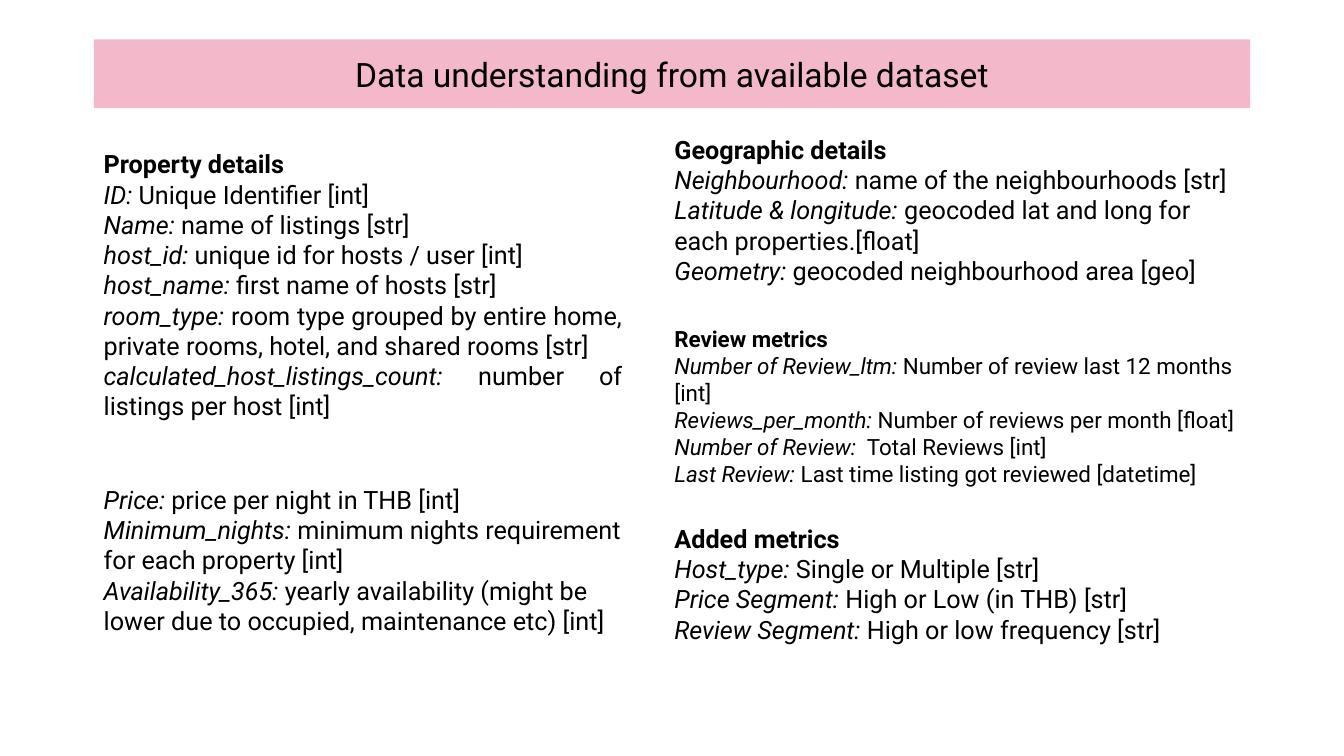
from lxml.etree import SubElement
from pptx import Presentation
from pptx.dml.color import RGBColor
from pptx.enum.shapes import MSO_SHAPE as Shape
from pptx.enum.text import MSO_ANCHOR as Anchor, PP_ALIGN as Align
from pptx.oxml.ns import qn
from pptx.util import Inches, Pt

SLIDE_WIDTH, SLIDE_HEIGHT = Inches(13.33), Inches(7.5)
PINK = RGBColor(0xDB, 0x25, 0x5D)
WHITE = RGBColor(0xFF, 0xFF, 0xFF)
BLACK = RGBColor(0x00, 0x00, 0x00)
FONT = "Roboto"

LEFT_COLUMN = (6.98, 40.06)
RIGHT_COLUMN = (49.44, 43.58)
FULL_WIDTH = (6.98, 86.04)

PROPERTY = [
    ("ID", "Unique Identifier [int]"),
    ("Name", "name of listings [str]"),
    ("host_id", "unique id for hosts / user [int]"),
    ("host_name", "first name of hosts [str]"),
    ("room_type", "room type grouped by entire home, private rooms, hotel, and shared rooms [str]"),
    ("calculated_host_listings_count", "number of listings per host [int]"),
]
BOOKING = [
    ("Price", "price per night in THB [int]"),
    ("Minimum_nights", "minimum nights requirement for each property [int]"),
    ("Availability_365", "yearly availability (might be lower due to occupied, maintenance etc) [int]"),
]
GEOGRAPHY = [
    ("Neighbourhood", "name of the neighbourhoods [str]"),
    ("Latitude & longitude", "geocoded lat and long for each properties.[float]"),
    ("Geometry", "geocoded neighbourhood area [geo]"),
]
REVIEWS = [
    ("Number of Review_ltm", "Number of review last 12 months [int]"),
    ("Reviews_per_month", "Number of reviews per month [float]"),
    ("Number of Review", " Total Reviews [int]"),
    ("Last Review", "Last time listing got reviewed [datetime]"),
]
ADDED = [
    ("Host_type", "Single or Multiple [str]"),
    ("Price Segment", "High or Low (in THB) [str]"),
    ("Review Segment", "High or low frequency [str]"),
]


def add_panel(slide, column, top, height, color, opacity):
    left, width = column
    panel = slide.shapes.add_shape(
        Shape.RECTANGLE,
        round(SLIDE_WIDTH * left / 100), round(SLIDE_HEIGHT * top / 100),
        round(SLIDE_WIDTH * width / 100), round(SLIDE_HEIGHT * height / 100))
    panel.shadow.inherit = False
    panel.line.fill.background()
    panel.fill.solid()
    panel.fill.fore_color.rgb = color
    tint = panel.fill._xPr.find(qn("a:solidFill"))[0]
    SubElement(tint, qn("a:alpha"), val=str(opacity * 1000))
    panel.text_frame.word_wrap = True
    panel.text_frame.vertical_anchor = Anchor.MIDDLE
    return panel.text_frame


def add_text(paragraph, text, size=18, bold=False, italic=False):
    run = paragraph.add_run()
    run.text = text
    run.font.name = FONT
    run.font.size = Pt(size)
    run.font.bold = bold
    run.font.italic = italic
    run.font.color.rgb = BLACK


def add_field_list(slide, column, top, height, fields, heading=None, size=18, align=Align.LEFT):
    frame = add_panel(slide, column, top, height, WHITE, 68)
    entries = ([(heading, None)] if heading else []) + fields
    for index, (term, meaning) in enumerate(entries):
        paragraph = frame.add_paragraph() if index else frame.paragraphs[0]
        paragraph.alignment = align
        if meaning is None:
            add_text(paragraph, term, size=size, bold=True)
        else:
            add_text(paragraph, f"{term}: ", size=size, italic=True)
            add_text(paragraph, meaning, size=size)


def add_title(slide, title):
    heading = add_panel(slide, FULL_WIDTH, 5.2, 9.07, PINK, 32).paragraphs[0]
    heading.alignment = Align.CENTER
    add_text(heading, title, size=24)


def main():
    deck = Presentation()
    deck.slide_width, deck.slide_height = SLIDE_WIDTH, SLIDE_HEIGHT
    slide = deck.slides.add_slide(deck.slide_layouts[6])
    add_title(slide, "Data understanding from available dataset")
    add_field_list(slide, LEFT_COLUMN, 15.87, 43.6, PROPERTY, "Property details", align=Align.JUSTIFY)
    add_field_list(slide, RIGHT_COLUMN, 15.87, 23.73, GEOGRAPHY, "Geographic details")
    add_field_list(slide, LEFT_COLUMN, 62.27, 23.6, BOOKING)
    add_field_list(slide, RIGHT_COLUMN, 40.8, 25.87, REVIEWS, "Review metrics", size=16)
    add_field_list(slide, RIGHT_COLUMN, 68.67, 17.07, ADDED, "Added metrics")
    deck.save("out.pptx")


if __name__ == "__main__":
    main()
